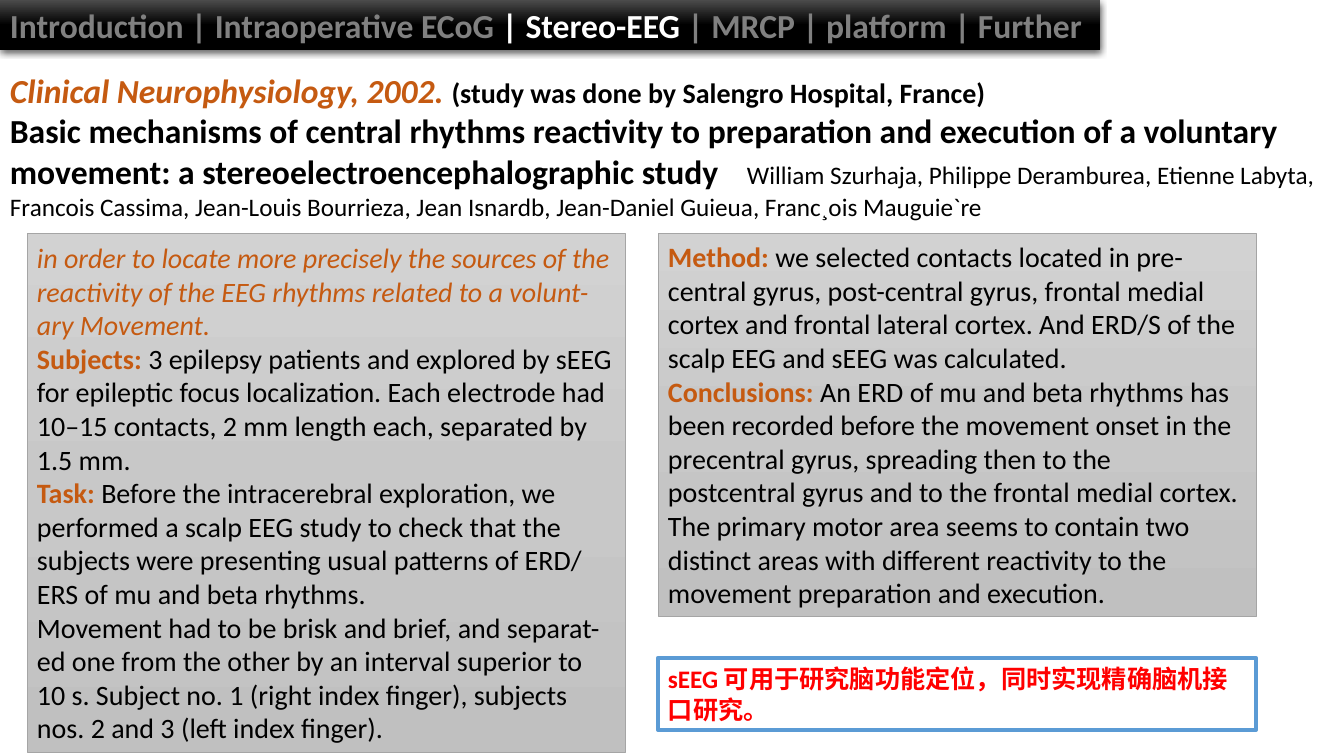
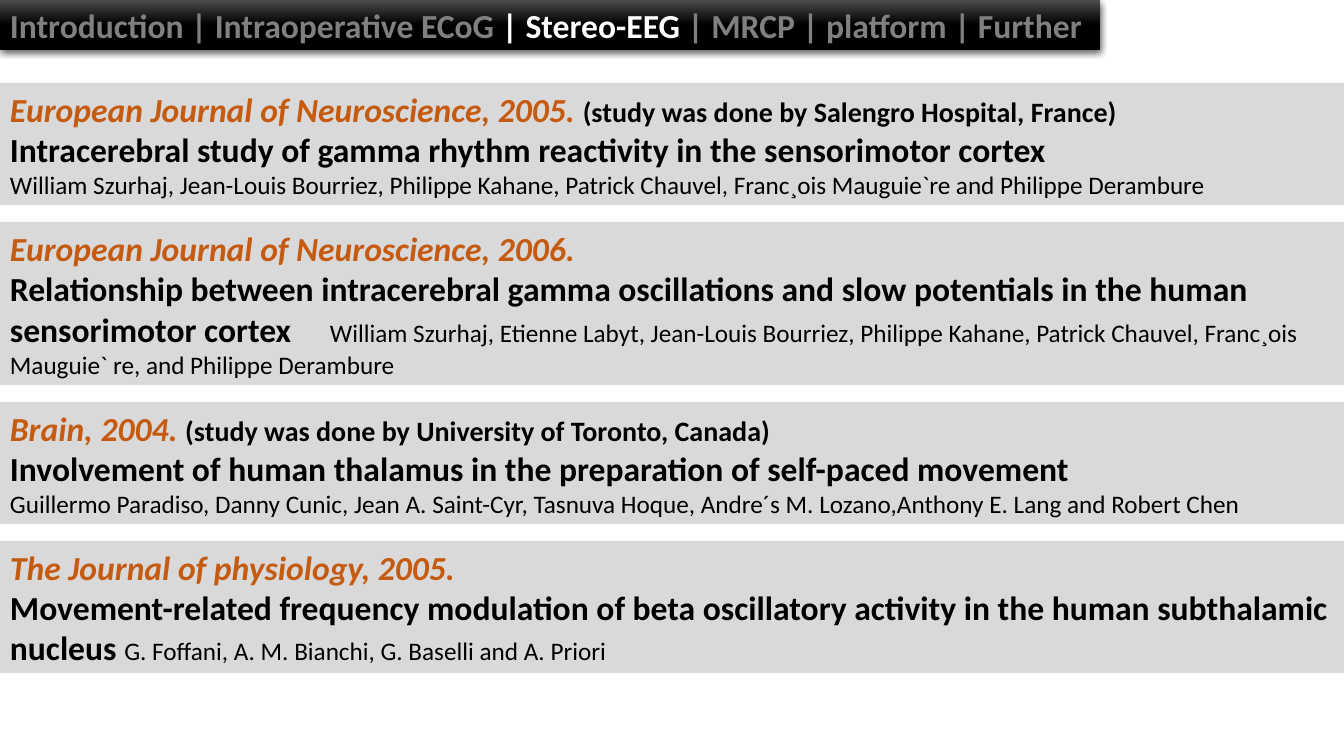
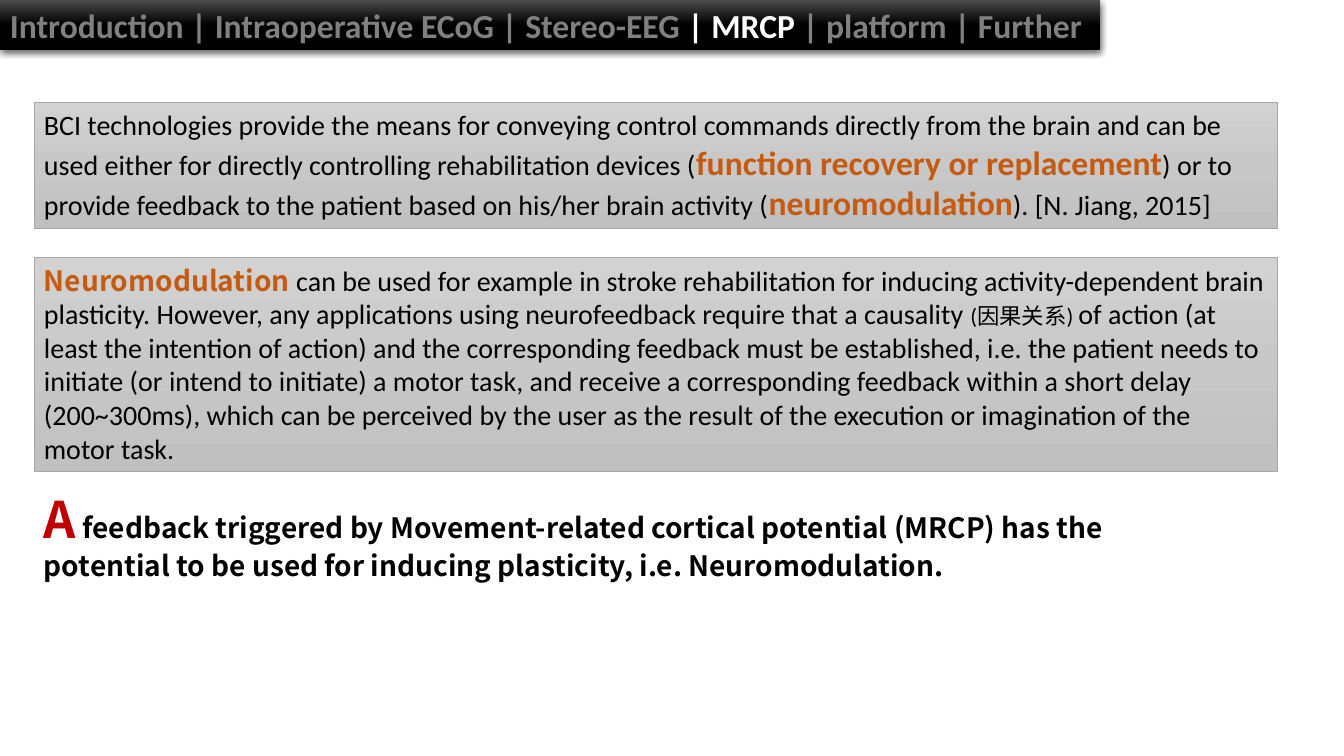
"""Build three slides on stereo-EEG and MRCP studies."""
import copy
import dataclasses
import typing

import lxml.etree
import pptx
import pptx.dml.color
import pptx.enum.shapes
import pptx.enum.text
import pptx.oxml.ns
import pptx.util

SCALE = 12192000 / 1344


@dataclasses.dataclass(frozen=True)
class Theme:
    """Colours, typefaces and type sizes shared by the slides."""

    black: str = "000000"
    white: str = "FFFFFF"
    muted: str = "808080"
    accent: str = "C55A11"
    alert: str = "FF0000"
    initial: str = "C00000"
    citation_fill: str = "D9D9D9"
    panel_line: str = "A5A5A5"
    callout_line: str = "5B9BD5"
    header_fill: tuple[str, ...] = ("4B4B4B", "000000", "000000")
    panel_fill: tuple[str, ...] = ("D2D2D2", "C8C8C8", "C0C0C0")
    latin: str = "Calibri"
    cjk: str = "Noto Sans CJK SC"
    gloss: int = 16
    small: int = 18
    body: int = 20
    large: int = 24
    huge: int = 36


THEME = Theme()


@dataclasses.dataclass(frozen=True)
class Style:
    """Look of a span of text."""

    size: int = THEME.body
    color: str = THEME.black
    bold: bool = False
    italic: bool = False
    face: str = THEME.latin


BODY = Style()
GLOSS = Style(THEME.gloss)
AUTHORS = Style(THEME.small)
NOTE = Style(bold=True)
TITLE = Style(THEME.large, bold=True)
JOURNAL = Style(THEME.large, THEME.accent, bold=True, italic=True)
AIM = Style(color=THEME.accent, italic=True)
LABEL = Style(color=THEME.accent, bold=True)
KEYWORD = Style(THEME.large, THEME.accent, bold=True)
LEAD = Style(color=THEME.accent, bold=True, face=THEME.cjk)
CALLOUT = Style(THEME.small, THEME.alert, bold=True)
INITIAL = Style(THEME.huge, THEME.initial, bold=True, face=THEME.cjk)
CLAIM = Style(bold=True, face=THEME.cjk)
SECTION = Style(THEME.large, THEME.muted, bold=True)
CURRENT_SECTION = Style(THEME.large, THEME.white, bold=True)


class Span(typing.NamedTuple):
    """Text in one style."""

    text: str
    style: Style = BODY


class Para(typing.NamedTuple):
    """Spans of one paragraph, with an optional tab stop in px."""

    spans: tuple[Span, ...]
    tab: int = 0


class Area(typing.NamedTuple):
    """Place and size in px."""

    left: int
    top: int
    width: int
    height: int


class Citation(typing.NamedTuple):
    """Height of a citation band and its text."""

    height: int
    paras: tuple[Para, ...]


SECTIONS = ("Introduction", "Intraoperative ECoG", "Stereo-EEG", "MRCP", "platform", "Further")
HEADER = Area(0, 0, 1100, 50)
CITATION_TOP, CITATION_GAP = 83, 17
PANEL_LEFT, PANEL_WIDTH, PANEL_STEP, PANEL_TOP = 27, 598, 631, 233


def px(length: int) -> int:
    """Turn px into EMU."""
    return round(length * SCALE)


def rgb(color: str) -> pptx.dml.color.RGBColor:
    """Turn a hex string into a colour."""
    return pptx.dml.color.RGBColor.from_string(color)


def para(*spans: Span, tab: int = 0) -> Para:
    """Gather spans into a paragraph."""
    return Para(spans, tab)


def child(parent, tag: str, **attributes: str):
    """Append a DrawingML element."""
    return lxml.etree.SubElement(parent, pptx.oxml.ns.qn(tag), attributes)


def write(box, paras: typing.Iterable[Para]) -> None:
    """Fill a box with left-aligned text."""
    frame = box.text_frame
    frame.word_wrap = True
    frame.auto_size = pptx.enum.text.MSO_AUTO_SIZE.SHAPE_TO_FIT_TEXT
    for index, content in enumerate(paras):
        paragraph = frame.add_paragraph() if index else frame.paragraphs[0]
        paragraph.alignment = pptx.enum.text.PP_ALIGN.LEFT
        if content.tab:
            stops = child(paragraph._p.get_or_add_pPr(), "a:tabLst")
            child(stops, "a:tab", pos=str(px(content.tab)), algn="l")
        for span in content.spans:
            run = paragraph.add_run()
            run.text = span.text
            font, style = run.font, span.style
            font.size = pptx.util.Pt(style.size)
            font.color.rgb = rgb(style.color)
            font.bold, font.italic, font.name = style.bold, style.italic, style.face
            child(run._r.get_or_add_rPr(), "a:ea", typeface=THEME.cjk)


def add_text(page, area: Area, *paras: Para) -> None:
    """Add a plain text box."""
    write(page.shapes.add_textbox(*map(px, area)), paras)


def add_box(page, area: Area, fill: str | tuple[str, ...], paras: typing.Iterable[Para],
            line: str = "", line_width: float = 0):
    """Add a rectangle with a plain or vertical gradient fill."""
    box = page.shapes.add_shape(pptx.enum.shapes.MSO_SHAPE.RECTANGLE, *map(px, area))
    box.shadow.inherit = False
    if isinstance(fill, str):
        box.fill.solid()
        box.fill.fore_color.rgb = rgb(fill)
    else:
        box.fill.gradient()
        box.fill.gradient_angle = 270
        stop_list = box.element.spPr.find(".//" + pptx.oxml.ns.qn("a:gsLst"))
        stop_list.append(copy.deepcopy(stop_list[-1]))
        for index, (stop, color) in enumerate(zip(box.fill.gradient_stops, fill)):
            stop.position = index / (len(fill) - 1)
            stop.color.rgb = rgb(color)
    if line:
        box.line.color.rgb = rgb(line)
        box.line.width = pptx.util.Pt(line_width)
    else:
        box.line.fill.background()
    write(box, paras)
    return box


def add_panel(page, area: Area, *paras: Para) -> None:
    """Add a grey gradient panel."""
    add_box(page, area, THEME.panel_fill, paras, THEME.panel_line, 0.5)


def add_page(deck, current: str):
    """Add a blank slide with the section header."""
    page = deck.slides.add_slide(deck.slide_layouts[6])
    labels = [f"| {name} " if index else f"{name} " for index, name in enumerate(SECTIONS)]
    active = SECTIONS.index(current)
    spans = (
        Span("".join(labels[:active]), SECTION),
        Span(labels[active], CURRENT_SECTION),
        Span("".join(labels[active + 1:]).rstrip(), SECTION),
    )
    header = add_box(page, HEADER, THEME.header_fill, [Para(spans)])
    effects = header.element.spPr.find(pptx.oxml.ns.qn("a:effectLst"))
    shadow = child(effects, "a:outerShdw", blurRad="57150", dist="19050", dir="5400000",
                   algn="ctr", rotWithShape="0")
    child(child(shadow, "a:srgbClr", val=THEME.black), "a:alpha", val="63000")
    return page


def add_study(deck) -> None:
    """Add the slide on one stereo-EEG study."""
    page = add_page(deck, "Stereo-EEG")
    add_text(
        page, Area(0, 65, 1344, 163),
        para(Span("Clinical Neurophysiology, 2002. ", JOURNAL),
             Span("(study was done by Salengro Hospital, France)", NOTE)),
        para(Span("Basic mechanisms of central rhythms reactivity to preparation and execution of a "
                  "voluntary movement: a stereoelectroencephalographic study", TITLE),
             Span("\tWilliam Szurhaja, Philippe Deramburea, Etienne Labyta, Francois Cassima, "
                  "Jean-Louis Bourrieza, Jean Isnardb, Jean-Daniel Guieua, Franc¸ois Mauguie`re",
                  AUTHORS), tab=737),
    )
    add_panel(
        page, Area(PANEL_LEFT, PANEL_TOP, PANEL_WIDTH, 519),
        para(Span("in order to locate more precisely the sources of the reactivity of the EEG "
                  "rhythms related to a volunt-ary Movement.", AIM)),
        para(Span("Subjects: ", LABEL),
             Span("3 epilepsy patients and explored by sEEG for epileptic focus localization. Each "
                  "electrode had 10–15 contacts, 2 mm length each, separated by 1.5 mm.")),
        para(Span("Task: ", LABEL),
             Span("Before the intracerebral exploration, we performed a scalp EEG study to check "
                  "that the subjects were presenting usual patterns of ERD/ ERS of mu and beta "
                  "rhythms.")),
        para(Span("Movement had to be brisk and brief, and separat-ed one from the other by an "
                  "interval superior to 10 s. Subject no. 1 (right index finger), subjects nos. 2 "
                  "and 3 (left index finger).")),
    )
    right = PANEL_LEFT + PANEL_STEP
    add_panel(
        page, Area(right, PANEL_TOP, PANEL_WIDTH, 383),
        para(Span("Method: ", LABEL),
             Span("we selected contacts located in pre-central gyrus, post-central gyrus, frontal "
                  "medial cortex and frontal lateral cortex. And ERD/S of the scalp EEG and sEEG "
                  "was calculated.")),
        para(Span("Conclusions: ", LABEL),
             Span("An ERD of mu and beta rhythms has been recorded before the movement onset in "
                  "the precentral gyrus, spreading then to the")),
        para(Span("postcentral gyrus and to the frontal medial cortex.")),
        para(Span("The primary motor area seems to contain two distinct areas with different "
                  "reactivity to the movement preparation and execution.")),
    )
    add_box(page, Area(right, 658, PANEL_WIDTH, 72), THEME.white,
            [para(Span("sEEG 可用于研究脑功能定位，同时实现精确脑机接口研究。", CALLOUT))],
            THEME.callout_line, 3)


def add_citations(deck) -> None:
    """Add the slide listing further studies."""
    page = add_page(deck, "Stereo-EEG")
    citations = (
        Citation(122, (
            para(Span("European Journal of Neuroscience, 2005. ", JOURNAL),
                 Span("(study was done by Salengro Hospital, France)", NOTE)),
            para(Span("Intracerebral study of gamma rhythm reactivity in the sensorimotor cortex",
                      TITLE)),
            para(Span("William Szurhaj, Jean-Louis Bourriez, Philippe Kahane, Patrick Chauvel, "
                      "Franc¸ois Mauguie`re and Philippe Derambure", AUTHORS)),
        )),
        Citation(163, (
            para(Span("European Journal of Neuroscience, 2006.", JOURNAL)),
            para(Span("Relationship between intracerebral gamma oscillations and slow potentials "
                      "in the human sensorimotor cortex", TITLE),
                 Span("\tWilliam Szurhaj, Etienne Labyt, Jean-Louis Bourriez, Philippe Kahane, "
                      "Patrick Chauvel, Franc¸ois Mauguie` re, and Philippe Derambure", AUTHORS),
                 tab=320),
        )),
        Citation(122, (
            para(Span("Brain, 2004. ", JOURNAL),
                 Span("(study was done by University of Toronto, Canada)", NOTE)),
            para(Span("Involvement of human thalamus in the preparation of self-paced movement",
                      TITLE)),
            para(Span("Guillermo Paradiso, Danny Cunic, Jean A. Saint-Cyr, Tasnuva Hoque, Andre´s "
                      "M. Lozano,Anthony E. Lang and Robert Chen", AUTHORS)),
        )),
        Citation(132, (
            para(Span("The Journal of physiology, 2005.", JOURNAL)),
            para(Span("Movement-related frequency modulation of beta oscillatory activity in the "
                      "human subthalamic nucleus ", TITLE),
                 Span("G. Foffani, A. M. Bianchi, G. Baselli and A. Priori", AUTHORS)),
        )),
    )
    top = CITATION_TOP
    for citation in citations:
        add_box(page, Area(0, top, 1344, citation.height), THEME.citation_fill, citation.paras)
        top += citation.height + CITATION_GAP


def add_neuromodulation(deck) -> None:
    """Add the slide on MRCP and neuromodulation."""
    page = add_page(deck, "MRCP")
    add_panel(
        page, Area(34, 102, 1243, 126),
        para(Span("BCI technologies provide the means for conveying control commands directly from "
                  "the brain and can be used either for directly controlling rehabilitation "
                  "devices ("),
             Span("function recovery or replacement", KEYWORD),
             Span(") or to provide feedback to the patient based on his/her brain activity ("),
             Span("neuromodulation", KEYWORD),
             Span("). [N. Jiang, 2015]")),
    )
    add_panel(
        page, Area(34, 257, 1243, 214),
        para(Span("Neuromodulation ", LEAD),
             Span("can be used for example in stroke rehabilitation for inducing activity-dependent "
                  "brain plasticity. However, any applications using neurofeedback require that a "
                  "causality "),
             Span("(因果关系) ", GLOSS),
             Span("of action (at least the intention of action) and the corresponding feedback must "
                  "be established, i.e. the patient needs to initiate (or intend to initiate) a "
                  "motor task, and receive a corresponding feedback within a short delay "
                  "(200~300ms), which can be perceived by the user as the result of the execution "
                  "or imagination of the motor task.")),
    )
    add_text(
        page, Area(34, 483, 1194, 105),
        para(Span("A", INITIAL),
             Span(" feedback triggered by Movement-related cortical potential (MRCP) has the "
                  "potential to be used for inducing plasticity, i.e. Neuromodulation.", CLAIM)),
    )


def main() -> None:
    """Build and save the deck."""
    deck = pptx.Presentation()
    deck.slide_width, deck.slide_height = px(1344), px(756)
    add_study(deck)
    add_citations(deck)
    add_neuromodulation(deck)
    deck.save("out.pptx")


if __name__ == "__main__":
    main()
